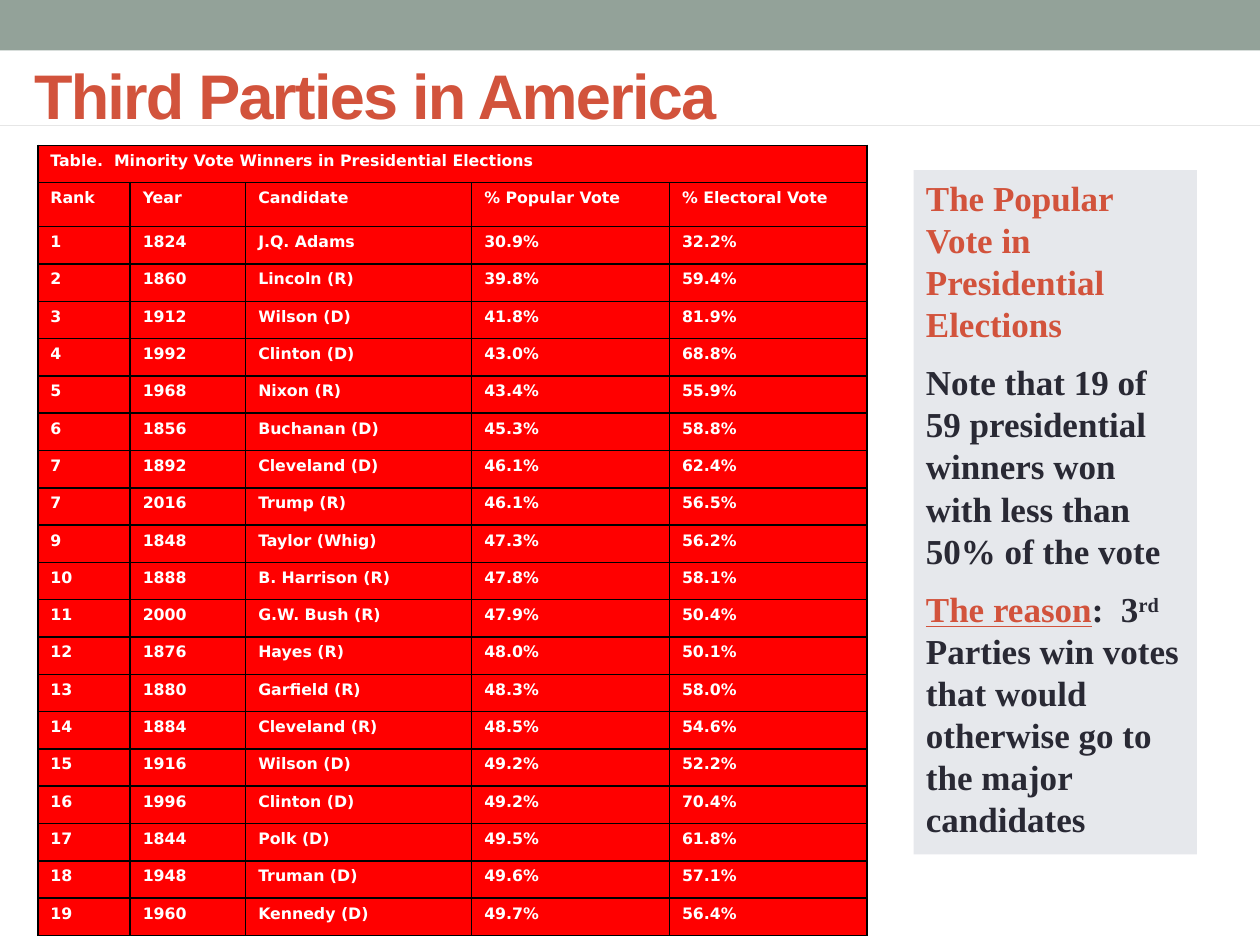
from dataclasses import dataclass
from lxml.etree import SubElement as Sub
from pptx import Presentation
from pptx.dml.color import RGBColor as RGB
from pptx.enum.shapes import MSO_CONNECTOR as Link, MSO_SHAPE as Form
from pptx.enum.text import MSO_ANCHOR as Anchor, MSO_AUTO_SIZE as Auto, PP_ALIGN as Align
from pptx.oxml.ns import qn
from pptx.util import Pt


@dataclass(frozen=True)
class Theme:
    band: str = "93A299"
    rule: str = "E6E6E6"
    accent: str = "D2533C"
    ink: str = "292934"
    panel: str = "E6E8EC"
    cell: str = "FF0000"
    edge: str = "000000"
    light: str = "FFFFFF"
    sans: str = "Arial"
    grid: str = "DejaVu Sans"
    serif: str = "Times New Roman"
    head: float = 36
    body: float = 20
    small: float = 9


T = Theme()

LABEL = "Table.  Minority Vote Winners in Presidential Elections"
HEADS = ("Rank", "Year", "Candidate", "% Popular Vote", "% Electoral Vote")
VOTES = (
    (1, 1824, "J.Q. Adams", 30.9, 32.2),
    (2, 1860, "Lincoln (R)", 39.8, 59.4),
    (3, 1912, "Wilson (D)", 41.8, 81.9),
    (4, 1992, "Clinton (D)", 43.0, 68.8),
    (5, 1968, "Nixon (R)", 43.4, 55.9),
    (6, 1856, "Buchanan (D)", 45.3, 58.8),
    (7, 1892, "Cleveland (D)", 46.1, 62.4),
    (7, 2016, "Trump (R)", 46.1, 56.5),
    (9, 1848, "Taylor (Whig)", 47.3, 56.2),
    (10, 1888, "B. Harrison (R)", 47.8, 58.1),
    (11, 2000, "G.W. Bush (R)", 47.9, 50.4),
    (12, 1876, "Hayes (R)", 48.0, 50.1),
    (13, 1880, "Garfield (R)", 48.3, 58.0),
    (14, 1884, "Cleveland (R)", 48.5, 54.6),
    (15, 1916, "Wilson (D)", 49.2, 52.2),
    (16, 1996, "Clinton (D)", 49.2, 70.4),
    (17, 1844, "Polk (D)", 49.5, 61.8),
    (18, 1948, "Truman (D)", 49.6, 57.1),
    (19, 1960, "Kennedy (D)", 49.7, 56.4),
)
NOTES = (
    (("The Popular Vote in Presidential Elections", {"color": T.accent}),),
    (("Note that 19 of 59 presidential winners won with less than 50% of the vote", {}),),
    (
        ("The reason", {"color": T.accent, "under": True}),
        (":  3", {}),
        ("rd", {"raised": 30}),
        (" Parties win votes that would otherwise go to the major candidates", {}),
    ),
)


def put(para, text, font, size, color, under=False, raised=0, track=0):
    run = para.add_run()
    run.text = text
    face = run.font
    face.name, face.size, face.bold = font, Pt(size), True
    face.color.rgb = RGB.from_string(color)
    props = run._r.get_or_add_rPr()
    if under:
        face.underline = True
    if raised:
        props.set("baseline", str(raised * 1000))
    if track:
        props.set("spc", str(track * 100))


def block(slide, box, color):
    shape = slide.shapes.add_shape(Form.RECTANGLE, *map(Pt, box))
    shape.shadow.inherit = False
    shape.fill.solid()
    shape.fill.fore_color.rgb = RGB.from_string(color)
    shape.line.fill.background()
    return shape


def header(slide, box):
    left, top, wide, high = box
    block(slide, (left, top, wide, 28.8), T.band)
    title = slide.shapes.title
    title.left, title.top = Pt(left + 12.24), Pt(top + 18)
    title.width, title.height = Pt(606), Pt(72)
    frame = title.text_frame
    frame.word_wrap = True
    frame.auto_size = Auto.NONE
    frame.vertical_anchor = Anchor.MIDDLE
    para = frame.paragraphs[0]
    para.alignment = Align.LEFT
    put(para, "Third Parties in America", T.sans, T.head, T.accent, track=-1)
    base = Pt(top + high)
    rule = slide.shapes.add_connector(Link.STRAIGHT, Pt(left), base, Pt(left + wide), base)
    rule.line.color.rgb = RGB.from_string(T.rule)
    rule.line.width = Pt(0.5)
    Sub(rule._element.spPr, qn("a:effectLst"))


def frame_cell(cell):
    props = cell._tc.get_or_add_tcPr()
    for side in ("lnL", "lnR", "lnT", "lnB"):
        line = Sub(props, qn("a:" + side), w=str(Pt(1)))
        fill = Sub(line, qn("a:solidFill"))
        Sub(fill, qn("a:srgbClr"), val=T.edge)
    cell.fill.solid()
    cell.fill.fore_color.rgb = RGB.from_string(T.cell)


def votes(slide, box):
    rows = [(LABEL,), HEADS]
    rows += [(str(rank), str(year), name, f"{pop:.1f}%", f"{elect:.1f}%")
             for rank, year, name, pop, elect in VOTES]
    table = slide.shapes.add_table(len(rows), len(HEADS), *map(Pt, box)).table
    for col, wide in zip(table.columns, (52.8, 66, 129.2, 113, 113)):
        col.width = Pt(wide)
    tall = 25.2
    even = (box[3] - tall) / (len(rows) - 1)
    for i, row in enumerate(rows):
        table.rows[i].height = Pt(tall if i == 1 else even)
        for j in range(len(HEADS)):
            cell = table.cell(i, j)
            frame_cell(cell)
            if j < len(row):
                put(cell.text_frame.paragraphs[0], row[j], T.grid, T.small, T.light)
    table.cell(0, 0).merge(table.cell(0, len(HEADS) - 1))


def notes(slide, box):
    frame = block(slide, box, T.panel).text_frame
    frame.word_wrap = True
    frame.auto_size = Auto.SHAPE_TO_FIT_TEXT
    frame.vertical_anchor = Anchor.TOP
    for i, parts in enumerate(NOTES):
        para = frame.add_paragraph() if i else frame.paragraphs[0]
        para.alignment = Align.LEFT
        para.line_spacing = 1.0
        para.space_before = Pt(9.5 if i else 0)
        for text, style in parts:
            put(para, text, **{"font": T.serif, "size": T.body, "color": T.ink, **style})


def main():
    deck = Presentation()
    deck.slide_width, deck.slide_height = Pt(720), Pt(540)
    slide = deck.slides.add_slide(deck.slide_layouts[5])
    header(slide, (0, 0, 720, 71.5))
    votes(slide, (21.6, 83, 474, 452))
    notes(slide, (522, 97.2, 162, 391))
    deck.save("out.pptx")


if __name__ == "__main__":
    main()
